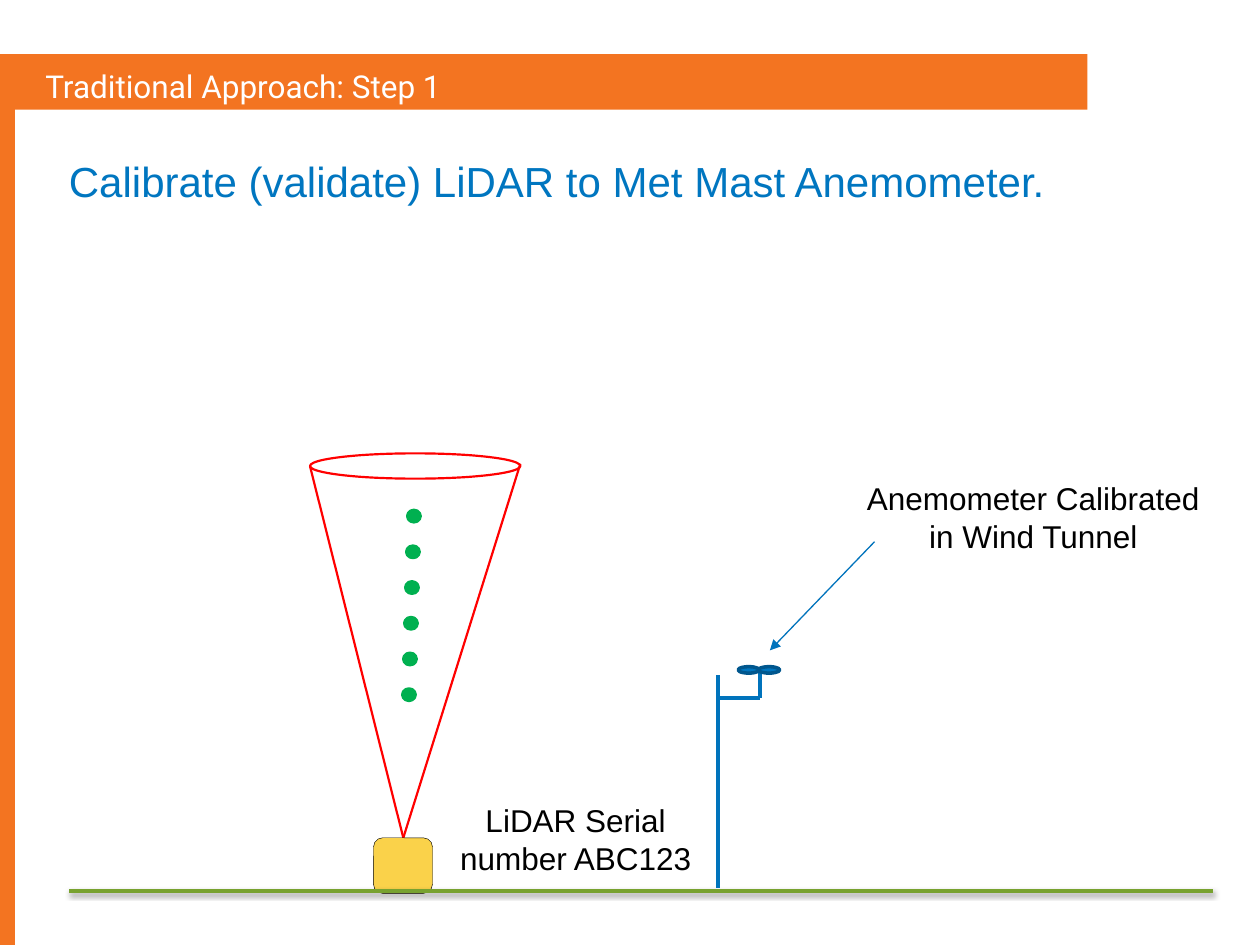
import pptx
import pptx.dml.color
import pptx.enum.shapes
import pptx.enum.text
import pptx.oxml
import pptx.oxml.ns
import pptx.util
from pptx.util import Cm

COLORS = {
    "banner": "F37421",
    "white": "FFFFFF",
    "black": "000000",
    "heading": "0076C0",
    "mast": "0073BC",
    "cup_edge": "00578E",
    "beam": "FF0000",
    "sample": "00B050",
    "lidar": "FAD24A",
    "ground": "78A22F",
}
SHAPES = pptx.enum.shapes.MSO_SHAPE
ALIGN = pptx.enum.text.PP_ALIGN
GROUND_SHADOW = (
    '<a:outerShdw blurRad="39370" dist="20320" dir="5400000" rotWithShape="0">'
    '<a:srgbClr val="000000"><a:alpha val="38000"/></a:srgbClr></a:outerShdw>'
)


def color(name):
    return pptx.dml.color.RGBColor.from_string(COLORS[name])


def place(shape, left, top, width, height):
    shape.left, shape.top = Cm(left), Cm(top)
    shape.width, shape.height = Cm(width), Cm(height)


def write_text(shape, text, *, font="Arial", size=18, fill="black", align=ALIGN.LEFT):
    frame = shape.text_frame
    frame.word_wrap = True
    frame.auto_size = pptx.enum.text.MSO_AUTO_SIZE.NONE
    frame.vertical_anchor = pptx.enum.text.MSO_ANCHOR.TOP
    paragraph = frame.paragraphs[0]
    paragraph.alignment = align
    run = paragraph.add_run()
    run.text = text
    run.font.name = font
    run.font.size = pptx.util.Pt(size)
    run.font.color.rgb = color(fill)


def add_label(slide, text, left, top, width, height, **text_format):
    label = slide.shapes.add_textbox(Cm(left), Cm(top), Cm(width), Cm(height))
    write_text(label, text, **text_format)


def add_figure(slide, kind, left, top, width, height, fill=None, line=None, weight=2):
    shape = slide.shapes.add_shape(kind, Cm(left), Cm(top), Cm(width), Cm(height))
    shape.shadow.inherit = False
    if fill:
        shape.fill.solid()
        shape.fill.fore_color.rgb = color(fill)
    else:
        shape.fill.background()
    if line:
        shape.line.color.rgb = color(line)
        shape.line.width = pptx.util.Pt(weight)
    else:
        shape.line.fill.background()


def add_line(slide, start, end, line, weight, arrow=False, effect=""):
    connector = slide.shapes.add_connector(
        pptx.enum.shapes.MSO_CONNECTOR.STRAIGHT,
        Cm(start[0]), Cm(start[1]), Cm(end[0]), Cm(end[1]),
    )
    connector.line.color.rgb = color(line)
    connector.line.width = pptx.util.Pt(weight)
    namespace = pptx.oxml.ns.nsdecls("a")
    if arrow:
        head = pptx.oxml.parse_xml(f'<a:tailEnd {namespace} type="triangle"/>')
        connector.line._get_or_add_ln().append(head)
    effects = pptx.oxml.parse_xml(f"<a:effectLst {namespace}>{effect}</a:effectLst>")
    connector._element.spPr.append(effects)


def add_banner(slide):
    add_figure(slide, SHAPES.RECTANGLE, 0, 2.03, 0.3, 17.02, "banner")
    add_figure(slide, SHAPES.RECTANGLE, 0, 1.09, 21.92, 1.12, "banner")
    title = slide.shapes.title
    place(title, 0.66, 1.22, 20.37, 1.02)
    write_text(title, "Traditional Approach: Step 1", font="Roboto", fill="white")
    slide.shapes._spTree.append(title._element)


def add_lidar(slide):
    apex = (8.13, 16.89)
    for rim in ((10.49, 9.35), (6.25, 9.4)):
        add_line(slide, apex, rim, "beam", 1.25)
    add_figure(slide, SHAPES.OVAL, 6.25, 9.14, 4.24, 0.51, line="beam", weight=1.25)
    for index in range(6):
        add_figure(slide, SHAPES.OVAL, 8.22 - 0.02 * index, 10.29 + 0.72 * index,
                   0.25, 0.23, "sample", "sample")
    add_figure(slide, SHAPES.ROUNDED_RECTANGLE, 7.53, 16.89, 1.19, 1.12,
               "lidar", "black", 0.25)


def add_mast(slide):
    mast, boom, cups = 14.48, 14.07, 15.32
    for start, end in (
        ((mast, 13.61), (mast, 17.91)),
        ((mast, boom), (cups, boom)),
        ((cups, boom), (cups, 13.46)),
    ):
        add_line(slide, start, end, "mast", 2.25)
    for left in (14.88, 15.29):
        add_figure(slide, SHAPES.OVAL, left, 13.44, 0.43, 0.13, "heading", "cup_edge")
    add_line(slide, (17.63, 10.92), (15.52, 13.11), "mast", 0.75, arrow=True)


def main():
    presentation = pptx.Presentation()
    presentation.slide_width, presentation.slide_height = Cm(25.4), Cm(19.05)
    slide = presentation.slides.add_slide(presentation.slide_layouts[5])
    add_banner(slide)
    add_label(slide, "Calibrate (validate) LiDAR to Met Mast Anemometer.",
              1.14, 3.02, 22.56, 1.27, size=24, fill="heading")
    add_lidar(slide)
    add_line(slide, (1.4, 17.96), (24.46, 17.96), "ground", 2, effect=GROUND_SHADOW)
    add_mast(slide)
    add_label(slide, "LiDAR Serial number ABC123", 8.71, 16.03, 5.79, 1.8,
              align=ALIGN.CENTER)
    add_label(slide, "Anemometer Calibrated in Wind Tunnel", 17.17, 9.53, 7.32, 1.8,
              align=ALIGN.CENTER)
    presentation.save("out.pptx")


if __name__ == "__main__":
    main()
